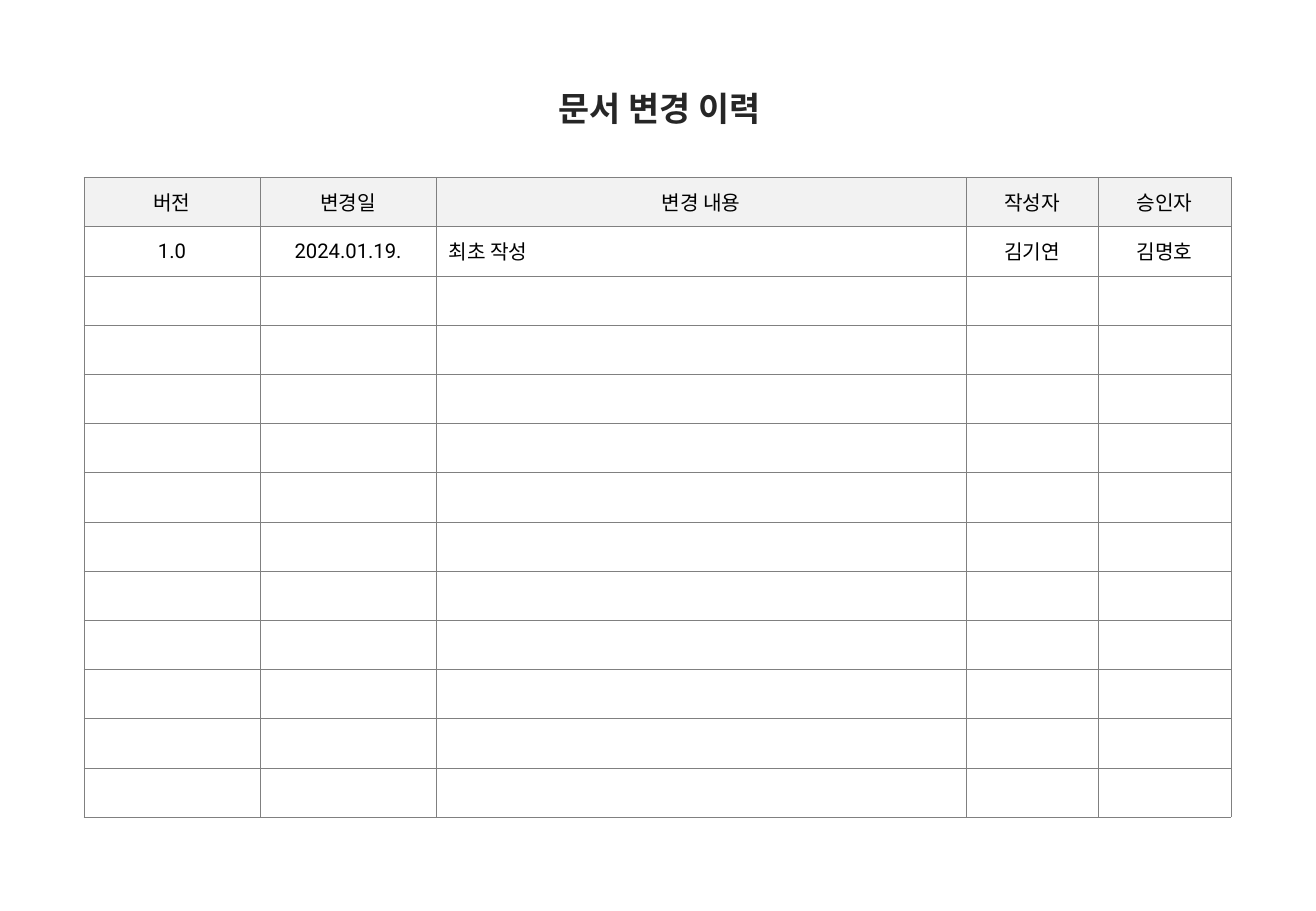
from dataclasses import dataclass

from lxml import etree
from pptx import Presentation
from pptx.dml.color import RGBColor
from pptx.enum.text import MSO_ANCHOR, MSO_AUTO_SIZE, PP_ALIGN
from pptx.oxml.ns import qn
from pptx.slide import Slide
from pptx.table import Table, _Cell
from pptx.text.text import TextFrame
from pptx.util import Inches, Pt

CENTER = PP_ALIGN.CENTER
LEFT = PP_ALIGN.LEFT
MIDDLE = MSO_ANCHOR.MIDDLE
NO_AUTOFIT = MSO_AUTO_SIZE.NONE

TITLE_COLOR = RGBColor(0x26, 0x26, 0x26)
TEXT_COLOR = RGBColor(0x00, 0x00, 0x00)
HEADER_FILL = RGBColor(0xF2, 0xF2, 0xF2)
BORDER_COLOR = RGBColor(0x80, 0x80, 0x80)
BORDER_WIDTH = Pt(0.25)
ROW_COUNT = 13
TABLE_HEIGHT = 5.27


@dataclass(frozen=True)
class HistoryColumn:
    heading: str
    first_entry: str
    width: float
    entry_alignment: PP_ALIGN = CENTER


COLUMNS = [
    HistoryColumn("버전", "1.0", 1.45),
    HistoryColumn("변경일", "2024.01.19.", 1.45),
    HistoryColumn("변경 내용", "최초 작성", 4.36, LEFT),
    HistoryColumn("작성자", "김기연", 1.09),
    HistoryColumn("승인자", "김명호", 1.09),
]


def write_text(frame: TextFrame, text: str, font_name: str, size: int,
               color: RGBColor, bold: bool, alignment: PP_ALIGN) -> None:
    frame.text = text
    paragraph = frame.paragraphs[0]
    paragraph.alignment = alignment
    for run in paragraph.runs:
        run.font.name = font_name
        run.font.size = Pt(size)
        run.font.bold = bold
        run.font.color.rgb = color


def add_borders(cell: _Cell) -> None:
    properties = cell._tc.get_or_add_tcPr()
    for side in ("a:lnL", "a:lnR", "a:lnT", "a:lnB"):
        line = etree.SubElement(properties, qn(side), w=str(BORDER_WIDTH))
        fill = etree.SubElement(line, qn("a:solidFill"))
        etree.SubElement(fill, qn("a:srgbClr"), val=str(BORDER_COLOR))


def format_cell(cell: _Cell, text: str, alignment: PP_ALIGN, is_header: bool) -> None:
    cell.vertical_anchor = MIDDLE
    cell.margin_top = cell.margin_bottom = 0
    add_borders(cell)
    if is_header:
        cell.fill.solid()
        cell.fill.fore_color.rgb = HEADER_FILL
    else:
        cell.fill.background()
    if text:
        write_text(cell.text_frame, text, "Roboto", 12, TEXT_COLOR, False, alignment)


def fill_history(table: Table) -> None:
    table.horz_banding = False
    for row in table.rows:
        row.height = Inches(TABLE_HEIGHT / ROW_COUNT)
    for column_index, column in enumerate(COLUMNS):
        table.columns[column_index].width = Inches(column.width)
        texts = [column.heading, column.first_entry] + [""] * (ROW_COUNT - 2)
        for row_index, text in enumerate(texts):
            is_header = row_index == 0
            alignment = CENTER if is_header else column.entry_alignment
            format_cell(table.cell(row_index, column_index), text, alignment, is_header)


def place_title(slide: Slide) -> None:
    title = slide.shapes.title
    title.left, title.top = Inches(0.71), Inches(0.72)
    title.width, title.height = Inches(9.44), Inches(0.34)
    frame = title.text_frame
    frame.margin_left = frame.margin_right = 0
    frame.margin_top = frame.margin_bottom = 0
    frame.vertical_anchor = MIDDLE
    frame.auto_size = NO_AUTOFIT
    frame.word_wrap = True
    write_text(frame, "문서 변경 이력", "Cabin", 20, TITLE_COLOR, True, CENTER)


def main() -> None:
    presentation = Presentation()
    presentation.slide_width = Inches(10.83)
    presentation.slide_height = Inches(7.5)
    slide = presentation.slides.add_slide(presentation.slide_layouts[5])
    place_title(slide)
    table_width = sum(column.width for column in COLUMNS)
    history = slide.shapes.add_table(
        ROW_COUNT, len(COLUMNS), Inches(0.69), Inches(1.46),
        Inches(table_width), Inches(TABLE_HEIGHT))
    fill_history(history.table)
    presentation.save("out.pptx")


if __name__ == "__main__":
    main()
